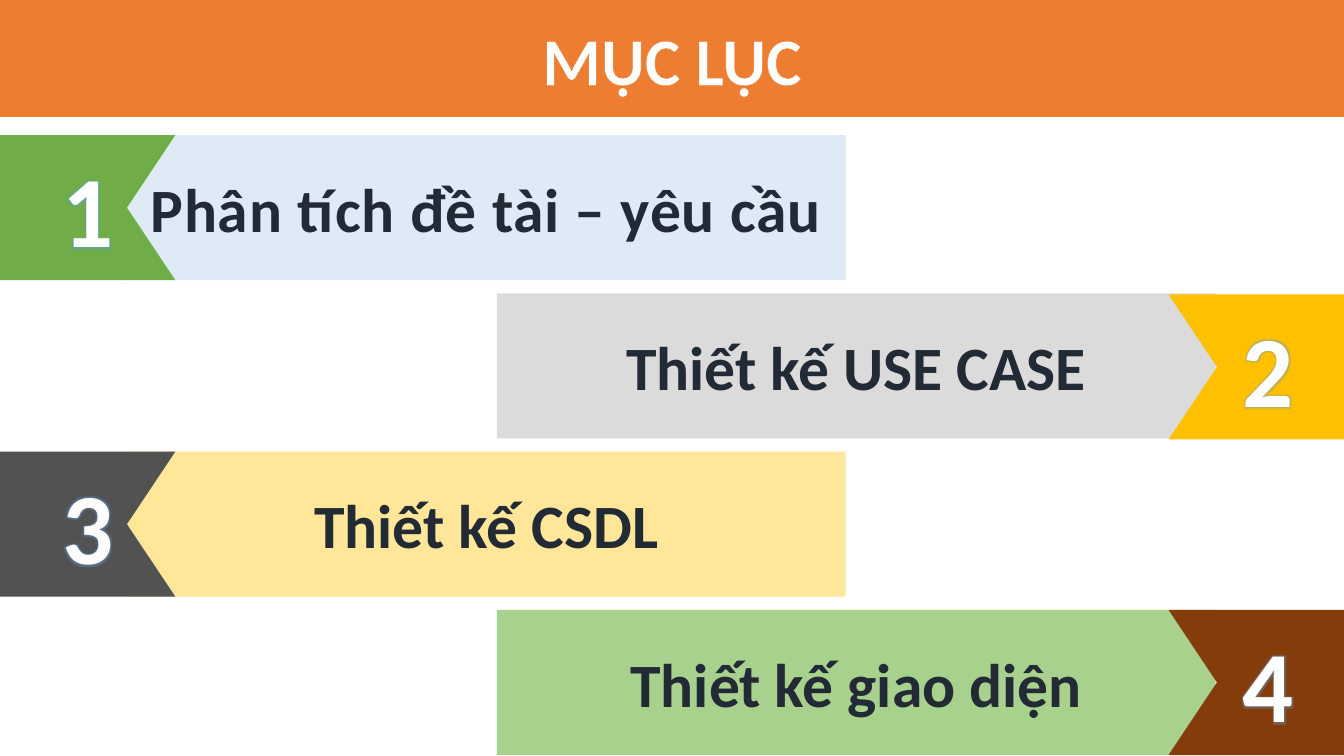
import dataclasses

import lxml.etree
import pptx
import pptx.dml.color
import pptx.enum.shapes
import pptx.enum.text
import pptx.oxml.ns
import pptx.util

Pt = pptx.util.Pt


@dataclasses.dataclass(frozen=True)
class Theme:
    font: str = "Calibri"
    title_size: int = 48
    label_size: int = 44
    number_size: int = 72
    header: str = "ED7D31"
    title: str = "FFFFFF"
    label: str = "222A35"
    number: str = "FEFEFE"
    label_outline: str = "4472C4"
    accent: str = "5B9BD5"
    bars: tuple = ("DEEBF7", "DBDBDB", "FFE699", "A9D18E")
    tags: tuple = ("70AD47", "FFC000", "525252", "843C0B")


SLIDE_WIDTH, SLIDE_HEIGHT = 960, 540
HEADER_HEIGHT = 83.5
FIRST_TOP, ROW_STEP, ROW_HEIGHT = 96.5, 113.04, 103.7
BAR_WIDTH, RIGHT_BAR_LEFT = 513.4, 355
TAG_WIDTH, NOTCH_DEPTH = 125.3, 34.6


def rgb(value):
    return pptx.dml.color.RGBColor.from_string(value)


def add_xml(parent, tag, index=None, **attributes):
    element = lxml.etree.Element(pptx.oxml.ns.qn(tag))
    for name, value in attributes.items():
        element.set(name, str(value))
    parent.insert(len(parent) if index is None else index, element)
    return element


def add_color(parent, value, alpha=None):
    color = add_xml(add_xml(parent, "a:solidFill") if alpha is None else parent,
                    "a:srgbClr", val=value)
    if alpha is not None:
        add_xml(color, "a:alpha", val=alpha * 1000)


def write_text(shape, text, *, font, size, color, outline, outline_width,
               spacing=0, effect=None):
    """Centre bold outlined text; effect is None, "glow" or "shadow"."""
    frame = shape.text_frame
    frame.word_wrap = True
    frame.vertical_anchor = pptx.enum.text.MSO_ANCHOR.MIDDLE
    paragraph = frame.paragraphs[0]
    paragraph.alignment = pptx.enum.text.PP_ALIGN.CENTER
    run = paragraph.add_run()
    run.text = text
    run.font.name = font
    run.font.size = Pt(size)
    run.font.bold = True
    run.font.color.rgb = rgb(color)

    properties = run.font._element
    if spacing:
        properties.set("spc", str(int(spacing * 100)))
    line = add_xml(properties, "a:ln", 0, w=int(Pt(outline_width)))
    add_color(line, outline)
    if effect:
        effects = add_xml(properties, "a:effectLst", 2)
        if effect == "glow":
            halo = add_xml(effects, "a:glow", rad=int(Pt(3)))
        else:
            halo = add_xml(effects, "a:outerShdw", blurRad=int(Pt(1)),
                           dist=int(Pt(3)), dir=2700000, algn="tl")
        add_color(halo, outline, alpha=40)


class AgendaSlide:
    def __init__(self, slide, theme):
        self.slide = slide
        self.theme = theme

    def paint(self, shape, fill):
        shape.shadow.inherit = False
        shape.fill.solid()
        shape.fill.fore_color.rgb = rgb(fill)
        shape.line.fill.background()
        return shape

    def band(self, shapes, left, top, width, height, fill):
        rectangle = pptx.enum.shapes.MSO_SHAPE.RECTANGLE
        return self.paint(shapes.add_shape(
            rectangle, Pt(left), Pt(top), Pt(width), Pt(height)), fill)

    def notched_tag(self, shapes, top, on_right, fill):
        """Draw a tag flush with the slide edge, notched on its inner side."""
        outer, direction = (SLIDE_WIDTH, -1) if on_right else (0, 1)
        inner = outer + direction * TAG_WIDTH
        tip = inner - direction * NOTCH_DEPTH
        bottom = top + ROW_HEIGHT
        outline = [(inner, bottom), (tip, top + ROW_HEIGHT / 2), (inner, top),
                   (outer, top), (outer, bottom)]
        points = [(Pt(x), Pt(y)) for x, y in outline]
        builder = shapes.build_freeform(*points[0])
        builder.add_line_segments(points[1:], close=True)
        return self.paint(builder.convert_to_shape(), fill)

    def header(self, text):
        theme = self.theme
        banner = self.band(self.slide.shapes, 0, 0, SLIDE_WIDTH, HEADER_HEIGHT, theme.header)
        write_text(banner, text, font=theme.font, size=theme.title_size,
                   color=theme.title, outline=theme.header, outline_width=0.52)

    def entry(self, index, text, tag_drop=0, **label_format):
        theme = self.theme
        on_right = index % 2 == 1
        top = FIRST_TOP + index * ROW_STEP
        shapes = self.slide.shapes.add_group_shape().shapes

        bar_left = RIGHT_BAR_LEFT if on_right else TAG_WIDTH - NOTCH_DEPTH
        bar = self.band(shapes, bar_left, top, BAR_WIDTH, ROW_HEIGHT, theme.bars[index])
        outline = {"outline": theme.label_outline, "outline_width": 0.8}
        write_text(bar, text, font=theme.font, size=theme.label_size,
                   color=theme.label, **(outline | label_format))

        tag = self.notched_tag(shapes, top + tag_drop, on_right, theme.tags[index])
        number = f" {index + 1}" if on_right else str(index + 1)
        write_text(tag, number, font=theme.font, size=theme.number_size,
                   color=theme.number, outline=theme.accent, outline_width=0.75,
                   spacing=0.5, effect="glow")


def main():
    presentation = pptx.Presentation()
    presentation.slide_width = Pt(SLIDE_WIDTH)
    presentation.slide_height = Pt(SLIDE_HEIGHT)
    theme = Theme()
    agenda = AgendaSlide(
        presentation.slides.add_slide(presentation.slide_layouts[6]), theme)

    agenda.header("MỤC LỤC")
    agenda.entry(0, "Phân tích đề tài – yêu cầu", outline=theme.accent,
                 outline_width=0.75, spacing=0.5, effect="shadow")
    agenda.entry(1, "Thiết kế USE CASE", tag_drop=0.7)
    agenda.entry(2, "Thiết kế CSDL")
    agenda.entry(3, "Thiết kế giao diện")

    presentation.save("out.pptx")


if __name__ == "__main__":
    main()
